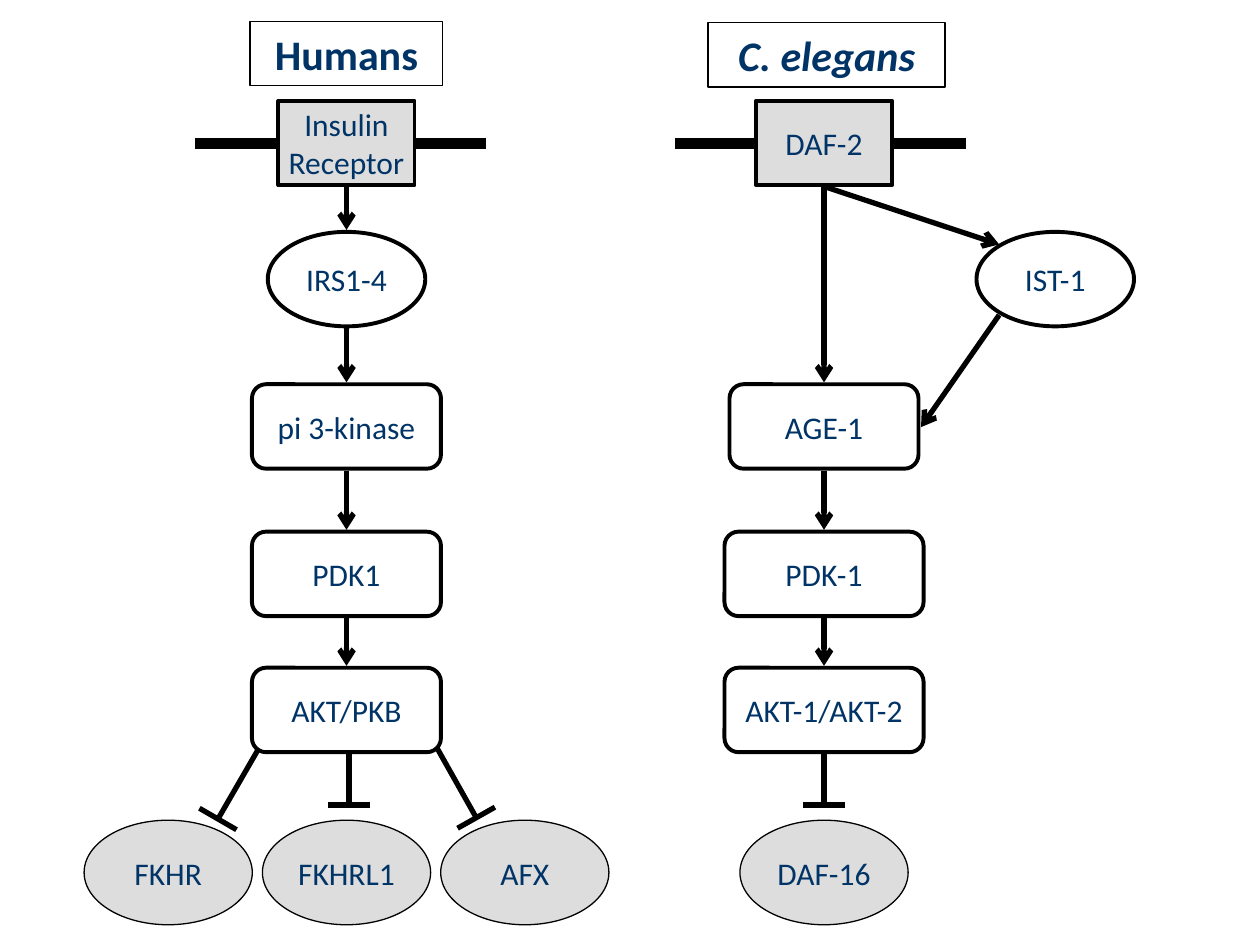
import math

import pptx
import pptx.dml.color
import pptx.enum.shapes
import pptx.enum.text
import pptx.oxml.ns
import pptx.util
from lxml import etree

SHAPE = pptx.enum.shapes.MSO_SHAPE
COLORS = {"ink": "000000", "text": "003366", "grey": "DDDDDD", "white": "FFFFFF"}
COLUMNS, ROWS = 100, 75
HUMAN, WORM, ADAPTOR = 27.5, 65.4, 83.75  # centre columns of the pathways
RECEPTOR, SUBSTRATE, KINASE, PDK, AKT, FACTOR = 11.35, 22.15, 33.85, 45.55, 56.35, 69.25
BOX_HEIGHT, OVAL_HEIGHT = 6.7, 7.5


def color(name):
    return pptx.dml.color.RGBColor.from_string(COLORS[name])


class PathwaySlide:
    """Draws on a grid of COLUMNS by ROWS; nodes are placed by their centres."""

    font = "Calibri"
    body_size, heading_size = 18, 24
    hairline, outline, stroke, membrane_width = 0.75, 2.25, 3, 6
    gap = 0.15

    def __init__(self, deck):
        self.slide = deck.slides.add_slide(deck.slide_layouts[6])
        self.column = deck.slide_width / COLUMNS
        self.row = deck.slide_height / ROWS

    def xy(self, x, y):
        return round(x * self.column), round(y * self.row)

    def node(self, text, kind, x, y, width, height, fill="white", outline=None):
        shape = self.slide.shapes.add_shape(
            kind, *self.xy(x - width / 2, y - height / 2), *self.xy(width, height))
        shape.shadow.inherit = False
        if fill:
            shape.fill.solid()
            shape.fill.fore_color.rgb = color(fill)
        else:
            shape.fill.background()
        shape.line.color.rgb = color("ink")
        shape.line.width = pptx.util.Pt(outline or self.outline)
        frame = shape.text_frame
        frame.word_wrap = False
        frame.vertical_anchor = pptx.enum.text.MSO_ANCHOR.MIDDLE
        paragraph = frame.paragraphs[0]
        paragraph.text = text
        paragraph.alignment = pptx.enum.text.PP_ALIGN.CENTER
        for run in paragraph.runs:
            run.font.name = self.font
            run.font.size = pptx.util.Pt(self.body_size)
            run.font.color.rgb = color("text")
        return shape

    def receptor(self, text, x):
        self.node(text, SHAPE.RECTANGLE, x, RECEPTOR, 10.8, BOX_HEIGHT, "grey")

    def adaptor(self, text, x):
        self.node(text, SHAPE.OVAL, x, SUBSTRATE, 12.5, OVAL_HEIGHT)

    def kinase(self, text, x, y, width=15):
        self.node(text, SHAPE.ROUNDED_RECTANGLE, x, y, width, BOX_HEIGHT)

    def factor(self, text, x):
        self.node(text, SHAPE.OVAL, x, FACTOR, 13.35, 8.3, "grey", self.hairline)

    def heading(self, text, x, y, width, italic=False):
        box = self.node(text, SHAPE.RECTANGLE, x, y, width, 5.1, None, self.hairline)
        font = box.text_frame.paragraphs[0].runs[0].font
        font.size = pptx.util.Pt(self.heading_size)
        font.bold = True
        font.italic = italic

    def line(self, start, end, width=None, arrow=False):
        link = self.slide.shapes.add_connector(
            pptx.enum.shapes.MSO_CONNECTOR.STRAIGHT, *self.xy(*start), *self.xy(*end))
        link.line.color.rgb = color("ink")
        link.line.width = pptx.util.Pt(width or self.stroke)
        if arrow:
            etree.SubElement(link.line._get_or_add_ln(),
                             pptx.oxml.ns.qn("a:tailEnd"), type="arrow")
        etree.SubElement(link._element.spPr, pptx.oxml.ns.qn("a:effectLst"))

    def membrane(self, x):
        self.line((x - 11.8, 11.4), (x + 11.3, 11.4), self.membrane_width)

    def activation(self, x, upper, lower, upper_height=BOX_HEIGHT, lower_height=BOX_HEIGHT):
        """Vertical arrow between the facing edges of two nodes."""
        self.line((x, upper + upper_height / 2 + self.gap),
                  (x, lower - lower_height / 2 - self.gap), arrow=True)

    def inhibition(self, start, end, half_bar=1.7):
        """Line closed by a bar at right angles to it."""
        angle = math.atan2(end[1] - start[1], end[0] - start[0])
        across, down = -half_bar * math.sin(angle), half_bar * math.cos(angle)
        self.line(start, end)
        self.line((end[0] - across, end[1] - down), (end[0] + across, end[1] + down))


def main():
    deck = pptx.Presentation()
    deck.slide_width = pptx.util.Inches(10)
    deck.slide_height = pptx.util.Inches(7.5)
    pathway = PathwaySlide(deck)

    for x in (HUMAN - 0.2, WORM):
        pathway.membrane(x)
    for start, end in (((21, 58.6), (17.3, 65)), ((34.2, 58.5), (37.8, 64.9)),
                       ((27.7, 58), (27.7, 63.9)), ((WORM, 58), (WORM, 63.9))):
        pathway.inhibition(start, end)

    pathway.receptor("Insulin\nReceptor", HUMAN)
    pathway.receptor("DAF-2", WORM)
    pathway.adaptor("IRS1-4", HUMAN)
    pathway.adaptor("IST-1", ADAPTOR)
    for text, y in (("pi 3-kinase", KINASE), ("PDK1", PDK), ("AKT/PKB", AKT)):
        pathway.kinase(text, HUMAN, y)
    for text, y, width in (("AGE-1", KINASE, 15), ("PDK-1", PDK, 15.8),
                           ("AKT-1/AKT-2", AKT, 15.8)):
        pathway.kinase(text, WORM, y, width)
    for i, text in enumerate(("FKHR", "FKHRL1", "AFX")):
        pathway.factor(text, HUMAN + 14.15 * (i - 1))
    pathway.factor("DAF-16", WORM)

    pathway.activation(HUMAN, RECEPTOR, SUBSTRATE, lower_height=OVAL_HEIGHT)
    pathway.activation(HUMAN, SUBSTRATE, KINASE, upper_height=OVAL_HEIGHT)
    pathway.activation(WORM, RECEPTOR, KINASE)
    for x in (HUMAN, WORM):
        pathway.activation(x, KINASE, PDK)
        pathway.activation(x, PDK, AKT)
    pathway.line((WORM, 14.8), (79.3, 19.4), arrow=True)
    pathway.line((79.3, 25), (73.1, 33.9), arrow=True)

    pathway.heading("Humans", HUMAN, 4.25, 15.3)
    pathway.heading("C. elegans", WORM + 0.2, 4.35, 18.8, italic=True)
    deck.save("out.pptx")


if __name__ == "__main__":
    main()
